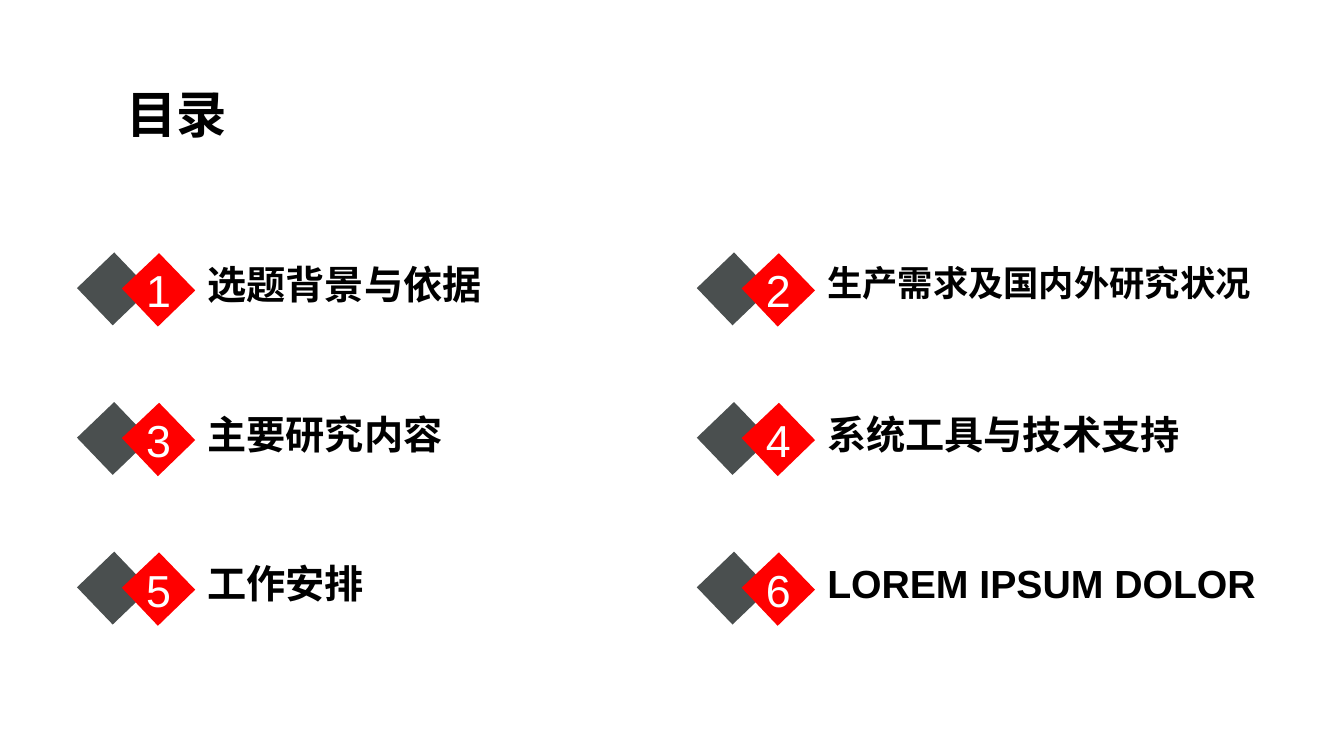
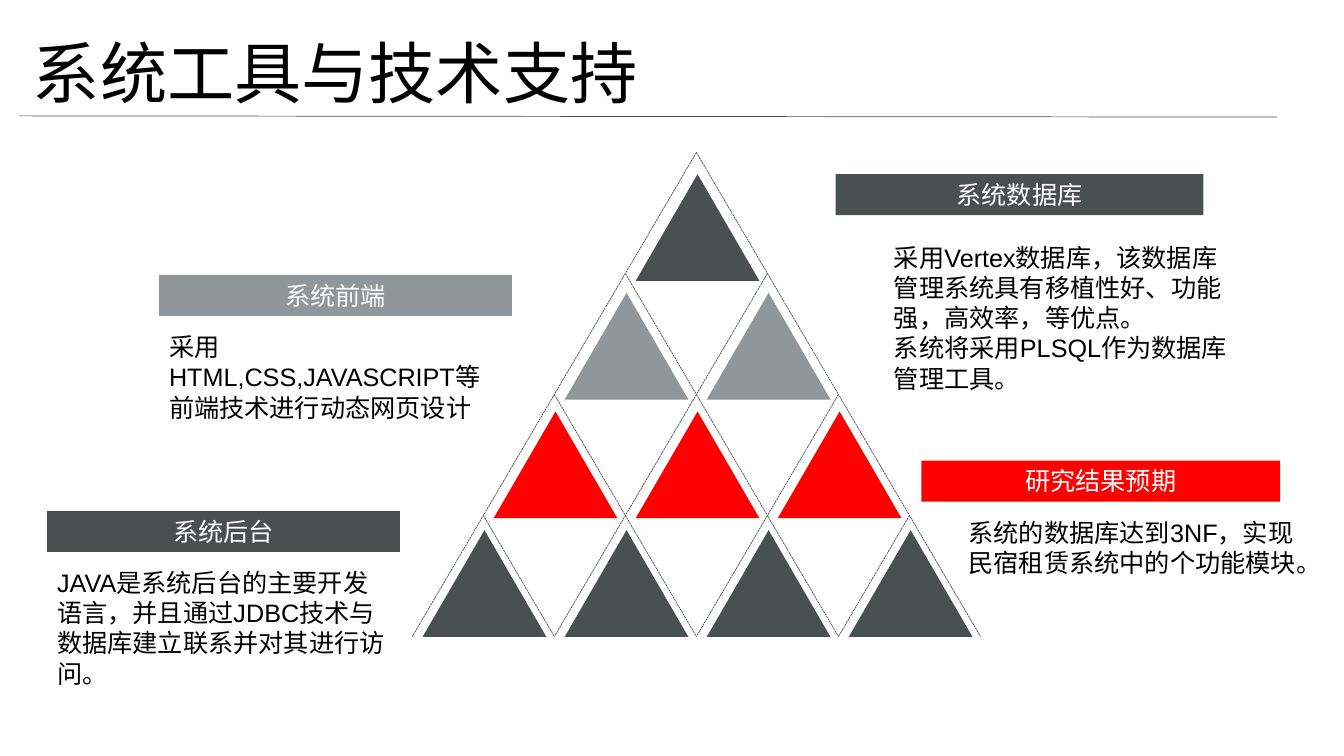
from itertools import product

from lxml.etree import SubElement
from pptx import Presentation
from pptx.dml.color import RGBColor
from pptx.enum.dml import MSO_LINE
from pptx.enum.shapes import MSO_CONNECTOR, MSO_SHAPE
from pptx.enum.text import MSO_ANCHOR, PP_ALIGN
from pptx.oxml.ns import qn
from pptx.util import Cm, Pt

COLORS = {
    "dark": "4A4F4F",
    "grey": "91969B",
    "accent": "FF0000",
    "ink": "000000",
    "paper": "FFFFFF",
}
FONT = "Arial"

# Each style: text colour, then font, paragraph and frame attributes.
STYLES = {
    "contents_title": ("ink", {"size": Pt(36), "bold": True},
                       {"alignment": PP_ALIGN.RIGHT}, {}),
    "slide_title": ("ink", {"size": Pt(48)}, {},
                    {"vertical_anchor": MSO_ANCHOR.BOTTOM}),
    "entry": ("ink", {"size": Pt(28), "bold": True}, {"line_spacing": 0.9}, {}),
    "long_entry": ("ink", {"size": Pt(25.2), "bold": True}, {"line_spacing": 0.9}, {}),
    "number": ("paper", {"size": Pt(32)}, {"alignment": PP_ALIGN.CENTER},
               {"vertical_anchor": MSO_ANCHOR.MIDDLE}),
    "banner": ("paper", {"size": Pt(18)}, {"alignment": PP_ALIGN.CENTER},
               {"vertical_anchor": MSO_ANCHOR.TOP}),
    "body": ("ink", {"size": Pt(18)}, {}, {}),
}

ENTRIES = [
    ("选题背景与依据", "entry"),
    ("生产需求及国内外研究状况", "long_entry"),
    ("主要研究内容", "entry"),
    ("系统工具与技术支持", "entry"),
    ("工作安排", "entry"),
    ("LOREM IPSUM DOLOR", "entry"),
]

# Heading, colour, left, top, width, body left, body top, body height, paragraphs
TOPICS = [
    ("系统数据库", "dark", 21.06, 4.39, 9.27, 22.28, 5.97, 4.09,
     ["采用Vertex数据库，该数据库管理系统具有移植性好、功能强，高效率，等优点。",
      "系统将采用PLSQL作为数据库管理工具。"]),
    ("系统前端", "grey", 4.01, 6.93, 8.89, 4.01, 8.23, 2.57,
     ["采用HTML,CSS,JAVASCRIPT等前端技术进行动态网页设计"]),
    ("研究结果预期", "accent", 23.22, 11.61, 9.04, 24.16, 12.9, 1.8,
     ["系统的数据库达到3NF，实现民宿租赁系统中的个功能模块。"]),
    ("系统后台", "dark", 1.19, 12.88, 8.89, 1.19, 14.17, 3.33,
     ["JAVA是系统后台的主要开发语言，并且通过JDBC技术与数据库建立联系并对其进行访问。"]),
]

PYRAMID_ROWS = ["dark", "grey", "accent", "dark"]


def rgb(name):
    return RGBColor.from_string(COLORS[name])


def set_attributes(target, values):
    for attribute, value in values.items():
        setattr(target, attribute, value)


def write(holder, paragraphs, style):
    """Fill a shape or text box with paragraphs in one of the STYLES."""
    color, font_format, paragraph_format, frame_format = STYLES[style]
    frame = holder.text_frame
    set_attributes(frame, {"word_wrap": True, **frame_format})
    for index, text in enumerate(paragraphs):
        paragraph = frame.add_paragraph() if index else frame.paragraphs[0]
        set_attributes(paragraph, paragraph_format)
        run = paragraph.add_run()
        run.text = text
        set_attributes(run.font, {"name": FONT, **font_format})
        run.font.color.rgb = rgb(color)


def add_text(slide, box, paragraphs, style):
    write(slide.shapes.add_textbox(*map(Cm, box)), paragraphs, style)


def paint(shape, color):
    shape.shadow.inherit = False
    shape.fill.solid()
    shape.fill.fore_color.rgb = rgb(color)
    shape.line.fill.background()


def add_block(slide, preset, box, color):
    block = slide.shapes.add_shape(preset, *map(Cm, box))
    paint(block, color)
    return block


def add_rule(slide, start, end, dash=None):
    rule = slide.shapes.add_connector(MSO_CONNECTOR.STRAIGHT, *map(Cm, start + end))
    set_attributes(rule.line, {"width": Pt(0.5), "dash_style": dash})
    rule.line.color.rgb = rgb("dark")
    SubElement(rule._element.spPr, qn("a:effectLst"))


def add_number_diamond(slide, left, top, number):
    corners = [(0.94, 0), (1.85, 0.94), (0.91, 1.85), (0, 0.89)]
    points = [(Cm(left + x), Cm(top + y)) for x, y in corners]
    outline = slide.shapes.build_freeform(*points[0])
    outline.add_line_segments(points[1:], close=True)
    diamond = outline.convert_to_shape()
    paint(diamond, "accent")
    write(diamond, [str(number)], "number")


def add_entry(slide, index, text, style):
    """Place a numbered contents entry in a grid of two columns."""
    row, column = divmod(index, 2)
    left, top = 2.21 + column * 15.62, 6.38 + row * 3.77
    backing = add_block(slide, MSO_SHAPE.RECTANGLE,
                        (left, top + 0.25, 1.3, 1.3), "dark")
    backing.rotation = 46.2
    add_number_diamond(slide, left + 0.86, top, index + 1)
    add_text(slide, (left + 2.77, top + 0.19, 11.94, 1.45), [text], style)


def add_pyramid(slide):
    width, height, pitch = 3.12, 2.69, 3.58
    for row, color in enumerate(PYRAMID_ROWS):
        for column in range(row + 1):
            left = 16.02 + (column - row / 2) * pitch
            add_block(slide, MSO_SHAPE.ISOSCELES_TRIANGLE,
                      (left, 4.39 + row * 2.99, width, height), color)


def add_lattice(slide):
    """Dashed lines run from both pyramid edges down to its base."""
    apex_x, apex_y, half_pitch, level_height = 17.55, 3.84, 1.79, 3.05
    levels = len(PYRAMID_ROWS)
    base_y = apex_y + levels * level_height
    for level, side in product(range(levels), (-1, 1)):
        start_x = apex_x + side * level * half_pitch
        end_x = start_x - side * (levels - level) * half_pitch
        add_rule(slide, (start_x, apex_y + level * level_height),
                 (end_x, base_y), MSO_LINE.SQUARE_DOT)


def add_topic(slide, heading, color, left, top, width,
              body_left, body_top, body_height, paragraphs):
    banner = add_block(slide, MSO_SHAPE.RECTANGLE, (left, top, width, 1.03), color)
    write(banner, [heading], "banner")
    add_text(slide, (body_left, body_top, width, body_height), paragraphs, "body")


def build_contents(slide):
    add_text(slide, (0.36, 1.96, 5.61, 1.8), ["目录"], "contents_title")
    for index, (text, style) in enumerate(ENTRIES):
        add_entry(slide, index, text, style)


def build_tools(slide):
    add_pyramid(slide)
    add_lattice(slide)
    for topic in TOPICS:
        add_topic(slide, *topic)
    add_rule(slide, (0.48, 2.92), (32.18, 2.95))
    add_text(slide, (0.58, 0.51, 23.9, 2.44), ["系统工具与技术支持"], "slide_title")


def main():
    deck = Presentation()
    set_attributes(deck, {"slide_width": Cm(33.87), "slide_height": Cm(19.05)})
    for build in (build_contents, build_tools):
        build(deck.slides.add_slide(deck.slide_layouts[6]))
    deck.save("out.pptx")


if __name__ == "__main__":
    main()
